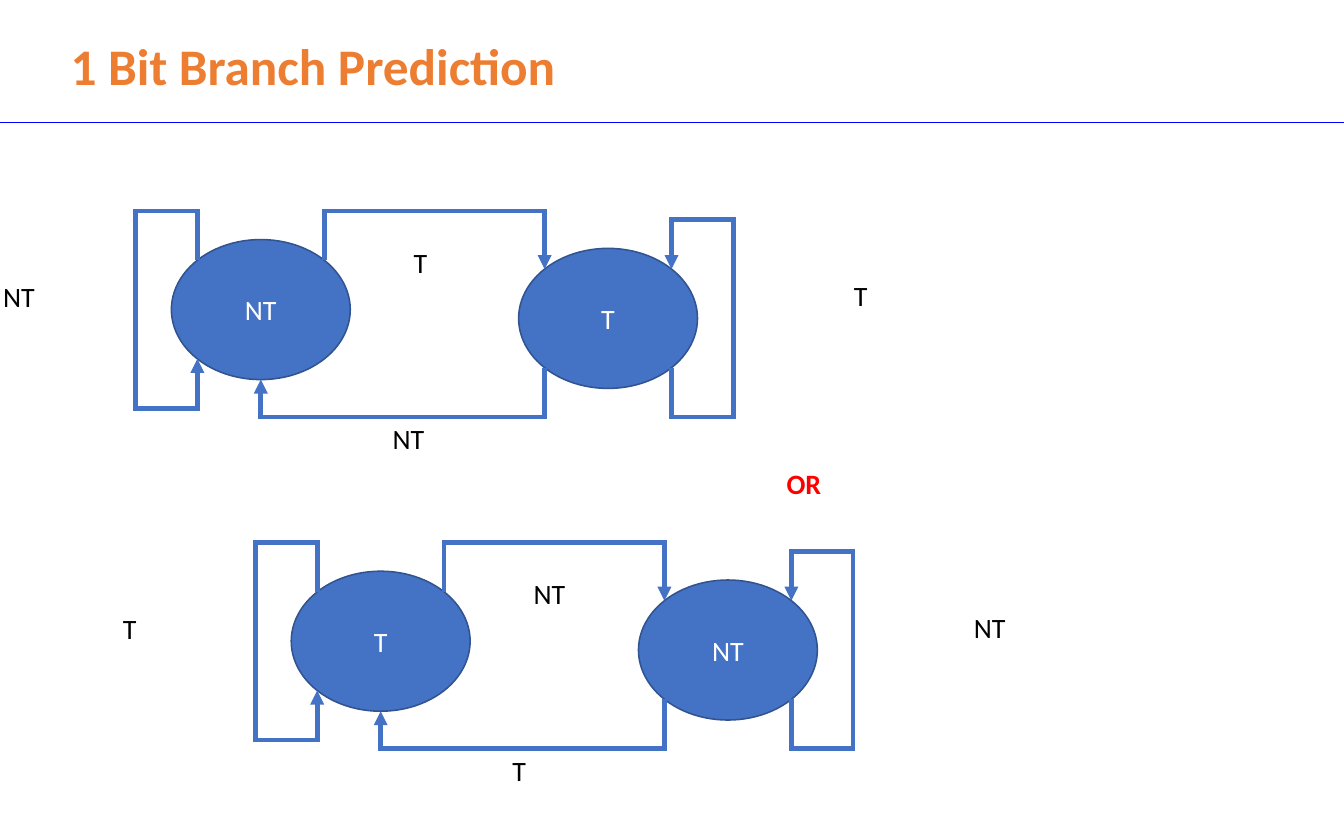
import pptx
import pptx.dml.color
import pptx.enum.shapes
import pptx.enum.text
import pptx.oxml.ns
import pptx.util
from lxml import etree

Cm = pptx.util.Cm
Pt = pptx.util.Pt
RGBColor = pptx.dml.color.RGBColor
Align = pptx.enum.text.PP_ALIGN
Anchor = pptx.enum.text.MSO_ANCHOR

ORANGE = RGBColor(0xED, 0x7D, 0x31)
RULE = RGBColor(0x00, 0x00, 0xFF)
BLUE = RGBColor(0x44, 0x72, 0xC4)
EDGE = RGBColor(0x31, 0x53, 0x8F)
RED = RGBColor(0xFF, 0x00, 0x00)
BLACK = RGBColor(0x00, 0x00, 0x00)
WHITE = RGBColor(0xFF, 0xFF, 0xFF)

FONT = "Calibri"
WIDE, HIGH = 30.5, 19.05  # slide, in cm
OVAL_W, OVAL_H = 4.06, 3.18
DIAG_X, DIAG_Y = 1.44, 1.12  # from an oval's centre to its diagonal points
RISE, REACH = 1.12, 1.4  # how far arrows run out from an oval
GAP_X, GAP_Y = 7.88, 0.2  # from the first oval's centre to the second's


def style(para, size, color, bold=False):
    para.font.name = FONT
    para.font.size = Pt(size)
    para.font.bold = bold
    para.font.color.rgb = color


def add_title(slide, text):
    title = slide.shapes.title
    title.left, title.top = Cm(1.35), Cm(0.66)
    title.width, title.height = Cm(15.29), Cm(1.68)
    frame = title.text_frame
    frame.text = text
    frame.vertical_anchor = Anchor.TOP
    frame.auto_size = pptx.enum.text.MSO_AUTO_SIZE.NONE
    para = frame.paragraphs[0]
    para.alignment = Align.LEFT
    style(para, 33, ORANGE, True)


def add_rule(slide, y):
    kind = pptx.enum.shapes.MSO_CONNECTOR.STRAIGHT
    rule = slide.shapes.add_connector(kind, 0, Cm(y), Cm(WIDE), Cm(y))
    rule.line.color.rgb = RULE
    rule.line.width = Pt(0.75)
    etree.SubElement(rule._element.spPr, pptx.oxml.ns.qn("a:effectLst"))


def add_label(slide, x, y, text, width=None, color=BLACK, bold=False):
    width = width or 0.48 + 0.51 * len(text)
    box = slide.shapes.add_textbox(Cm(x), Cm(y), Cm(width), Cm(1.02))
    frame = box.text_frame
    frame.word_wrap = True
    frame.text = text
    style(frame.paragraphs[0], 18, color, bold)


def add_state(slide, x, y, name):
    """Draw a state oval centred on x, y."""
    oval = slide.shapes.add_shape(
        pptx.enum.shapes.MSO_SHAPE.OVAL,
        Cm(x - OVAL_W / 2), Cm(y - OVAL_H / 2), Cm(OVAL_W), Cm(OVAL_H))
    oval.shadow.inherit = False
    oval.fill.solid()
    oval.fill.fore_color.rgb = BLUE
    oval.line.color.rgb = EDGE
    oval.line.width = Pt(1)
    frame = oval.text_frame
    frame.text = name
    frame.vertical_anchor = Anchor.MIDDLE
    para = frame.paragraphs[0]
    para.alignment = Align.CENTER
    style(para, 18, WHITE)


def add_arrow(slide, *points):
    """Draw an open bent path with a head at its last point."""
    start, *rest = [(Cm(x), Cm(y)) for x, y in points]
    pen = slide.shapes.build_freeform(*start)
    pen.add_line_segments(rest, close=False)
    arrow = pen.convert_to_shape()
    arrow.shadow.inherit = False
    arrow.fill.background()
    arrow.line.color.rgb = BLUE
    arrow.line.width = Pt(3)
    line = arrow.line._get_or_add_ln()
    etree.SubElement(line, pptx.oxml.ns.qn("a:miter"), lim="800000")
    etree.SubElement(line, pptx.oxml.ns.qn("a:tailEnd"), type="triangle")


def add_loop(slide, x, y, side):
    """Lead an arrow from an oval back to itself; side is -1 left, 1 right."""
    near = x + side * DIAG_X
    far = near + side * REACH
    dip = side * DIAG_Y
    out = dip + side * RISE
    add_arrow(slide, (near, y + dip), (near, y + out), (far, y + out),
              (far, y - out), (near, y - out), (near, y - dip))


def add_machine(slide, x, y, first, second):
    """Draw a two-state machine whose first oval is centred on x, y."""
    x2, y2 = x + GAP_X, y + GAP_Y
    add_state(slide, x, y, first)
    add_state(slide, x2, y2, second)

    over = y - DIAG_Y - RISE
    add_arrow(slide, (x + DIAG_X, y - DIAG_Y), (x + DIAG_X, over),
              (x2 - DIAG_X, over), (x2 - DIAG_X, y2 - DIAG_Y))
    under = y2 + DIAG_Y + RISE
    add_arrow(slide, (x2 - DIAG_X, y2 + DIAG_Y), (x2 - DIAG_X, under),
              (x, under), (x, y + OVAL_H / 2))
    add_loop(slide, x, y, -1)
    add_loop(slide, x2, y2, 1)

    add_label(slide, x + 3.22, y - 1.59, second)
    add_label(slide, x + 13.21, y - 0.83, second)
    add_label(slide, x + 2.74, y + 2.42, first)
    add_label(slide, x - 6.1, y - 0.81, first)


def main():
    deck = pptx.Presentation()
    deck.slide_width, deck.slide_height = Cm(WIDE), Cm(HIGH)
    slide = deck.slides.add_slide(deck.slide_layouts.get_by_name("Title Only"))
    add_title(slide, "1 Bit Branch Prediction")
    add_rule(slide, 2.79)
    add_machine(slide, 5.92, 7.03, "NT", "T")
    add_machine(slide, 8.64, 14.56, "T", "NT")
    add_label(slide, 17.6, 10.46, "OR", 1.57, RED, True)
    deck.save("out.pptx")


if __name__ == "__main__":
    main()
